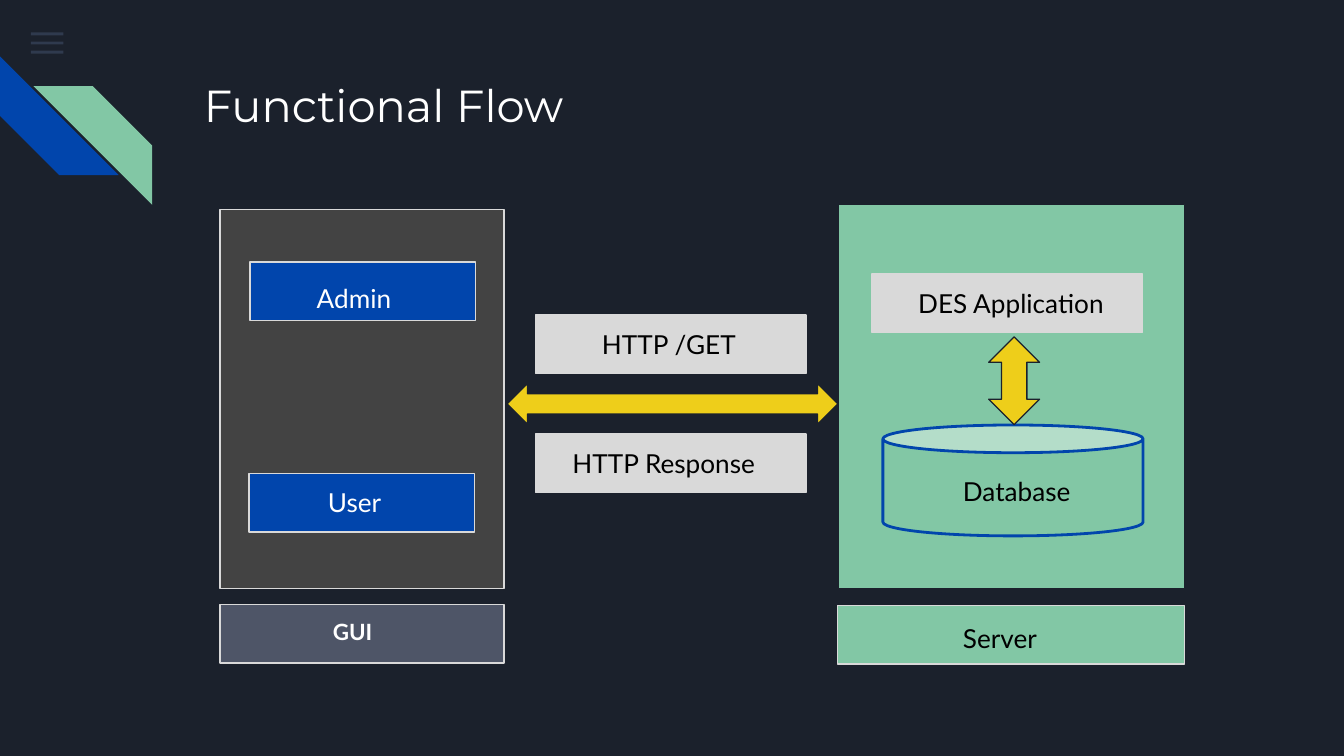
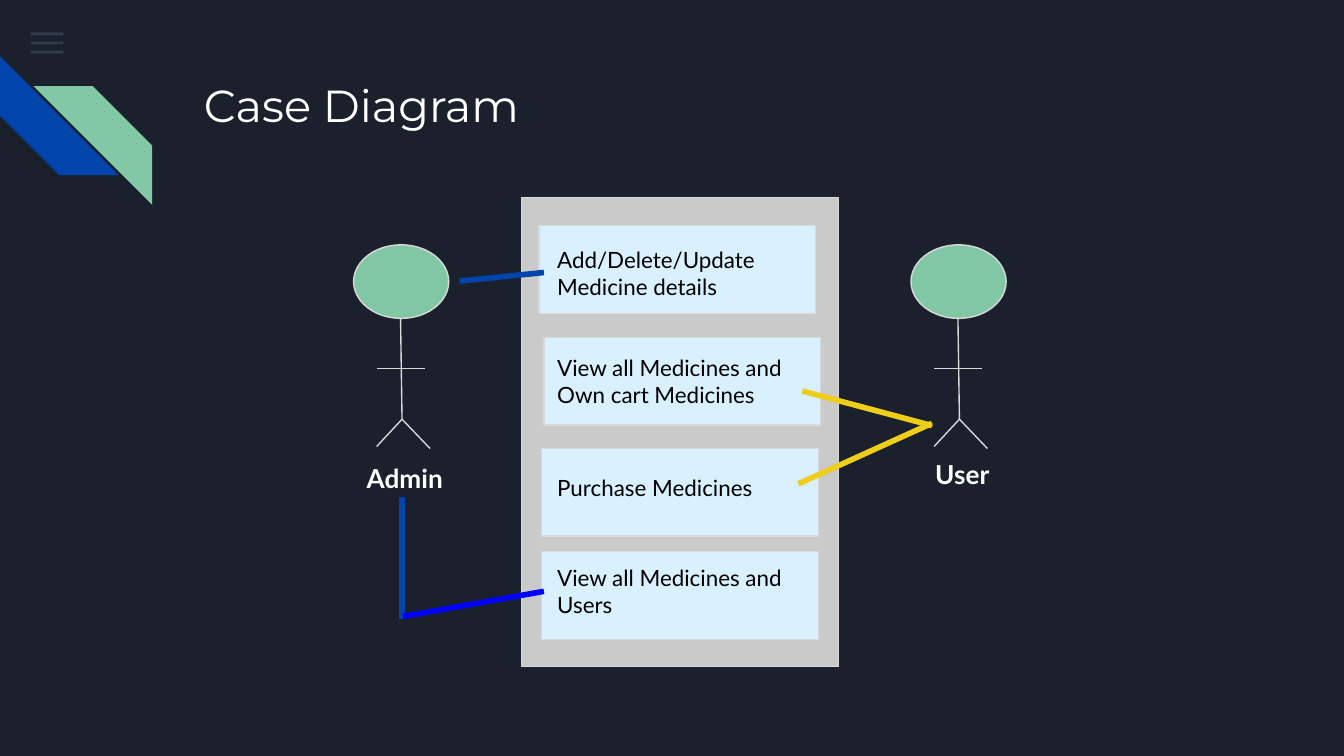
import pptx
import pptx.dml.color
import pptx.enum.shapes
import pptx.enum.text
import pptx.oxml.ns
import pptx.util
import lxml.etree

Pt = pptx.util.Pt
SHAPE = pptx.enum.shapes.MSO_SHAPE

# Shared palette and measures
NIGHT, WHITE, BLACK = "1B212C", "FFFFFF", "000000"
BLUE, GREEN, YELLOW = "0145AC", "82C7A5", "EECE1A"
PALE, LINK_BLUE, SKY = "D9D9D9", "0000FF", "D9F0FF"
INSET = 7.2
TAG_HEIGHT = 31.5


def rgb(value):
    return pptx.dml.color.RGBColor.from_string(value)


def add_child(parent, tag, **attributes):
    child = lxml.etree.SubElement(parent, pptx.oxml.ns.qn(tag))
    for key, value in attributes.items():
        child.set(key, str(value))
    return child


def add_block(slide, kind, left, top, width, height, fill, line=PALE, weight=0.75):
    block = slide.shapes.add_shape(kind, Pt(left), Pt(top), Pt(width), Pt(height))
    block.shadow.inherit = False
    block.fill.solid()
    block.fill.fore_color.rgb = rgb(fill)
    if line:
        block.line.color.rgb = rgb(line)
        block.line.width = Pt(weight)
    else:
        block.line.fill.background()
    return block


def write(frame, text, size=14, color=BLACK, bold=False, font="Lato",
          line_spacing=None, space_after=None):
    """Fill a text frame, one paragraph for each line of the text."""
    frame.word_wrap = True
    frame.vertical_anchor = pptx.enum.text.MSO_ANCHOR.TOP
    frame.margin_left = frame.margin_right = Pt(INSET)
    frame.margin_top = frame.margin_bottom = Pt(INSET)
    frame.text = text
    for paragraph in frame.paragraphs:
        paragraph.alignment = pptx.enum.text.PP_ALIGN.LEFT
        if line_spacing:
            paragraph.line_spacing = line_spacing
        if space_after is not None:
            paragraph.space_after = Pt(space_after)
        for run in paragraph.runs:
            run.font.name = font
            run.font.size = Pt(size)
            run.font.bold = bold
            run.font.color.rgb = rgb(color)


def add_label(slide, text, left, top, width, height=TAG_HEIGHT, **text_format):
    label = slide.shapes.add_textbox(Pt(left), Pt(top), Pt(width), Pt(height))
    write(label.text_frame, text, **text_format)
    label.text_frame.auto_size = pptx.enum.text.MSO_AUTO_SIZE.SHAPE_TO_FIT_TEXT


def add_line(slide, start, end, color=PALE, weight=0.75):
    line = slide.shapes.add_connector(
        pptx.enum.shapes.MSO_CONNECTOR.STRAIGHT,
        *(Pt(value) for value in (*start, *end)))
    line.line.color.rgb = rgb(color)
    line.line.width = Pt(weight)
    add_child(line.element.spPr, "a:effectLst")


def add_menu_icon(slide):
    for row in range(3):
        bar = add_block(slide, SHAPE.RECTANGLE, 16.6, 17.4 + 4.9 * row,
                        17.4, 1.6, "55688B", line=None)
        bar_color = bar.element.spPr.find(".//" + pptx.oxml.ns.qn("a:srgbClr"))
        add_child(bar_color, "a:alpha", val=36000)


def add_stripes(slide):
    blue = add_block(slide, SHAPE.DIAGONAL_STRIPE, 0, 30.2, 63.6, 63.6, BLUE, line=None)
    blue.rotation = 270
    green = add_block(slide, SHAPE.DIAGONAL_STRIPE, 18, 46.2, 63.6, 63.6, GREEN, line=None)
    green.element.spPr.xfrm.set("flipH", "1")


def start_slide(deck, heading):
    """Title-only slide with the shared decoration and title style."""
    slide = deck.slides.add_slide(deck.slide_layouts[5])
    add_menu_icon(slide)
    add_stripes(slide)
    title = slide.shapes.title
    title.left, title.top, title.width, title.height = Pt(102), Pt(30.2), Pt(441.4), Pt(46.8)
    write(title.text_frame, heading, size=24, color=WHITE, font="Montserrat",
          line_spacing=1.15, space_after=16)
    title.text_frame.auto_size = pptx.enum.text.MSO_AUTO_SIZE.NONE
    return slide


def add_tag(slide, text, left, top, width, fill, text_left, text_width,
            text_drop=0, **text_format):
    """A bar with its label, which starts at its own left edge."""
    add_block(slide, SHAPE.RECTANGLE, left, top, width, TAG_HEIGHT, fill)
    add_label(slide, text, text_left, top + text_drop, text_width, **text_format)


def add_actor(slide, name, left, name_left, name_top, name_width):
    """A stick figure with its name below."""
    head_top, head_height = 131.2, 39.4
    neck = (left + 25.2, head_top + head_height)
    hip = (left + 26, 224.6)
    add_block(slide, SHAPE.FLOWCHART_CONNECTOR, left, head_top, 51, head_height, GREEN)
    add_line(slide, neck, hip)
    add_line(slide, (left + 12.4, 197.3), (left + 38.2, 197.3))
    for foot in ((left + 12.4, 239.2), (left + 41, 240.3)):
        add_line(slide, hip, foot)
    add_label(slide, name, name_left, name_top, name_width, color=WHITE, bold=True)


def build_functional_flow(deck):
    slide = start_slide(deck, "Functional Flow")

    # Client and server panels
    add_block(slide, SHAPE.RECTANGLE, 117.8, 112.2, 152.2, 203, "434343")
    add_block(slide, SHAPE.RECTANGLE, 449.3, 109.5, 185.4, 205.7, GREEN, line=NIGHT)

    # Database
    add_block(slide, SHAPE.CAN, 473, 227.7, 139.4, 59.4, GREEN, line=BLUE, weight=1.5)
    add_label(slide, "Database", 508.8, 247.2, 199.4)

    # Roles in the client
    add_tag(slide, "Admin", 133.9, 140.4, 121, BLUE, 162.6, 535.6, text_drop=3.6, color=WHITE)
    add_tag(slide, "User", 133.3, 253.6, 121, BLUE, 168.6, 535.6, color=WHITE)

    # Application and the two-way arrows
    add_tag(slide, "DES Application", 467.2, 146.8, 144.7, PALE, 484.8, 229.7)
    add_block(slide, SHAPE.UP_DOWN_ARROW, 529.7, 180.5, 27.2, 47, YELLOW, line=NIGHT)
    add_block(slide, SHAPE.LEFT_RIGHT_ARROW, 271.6, 205.4, 177.4, 22, YELLOW, line=NIGHT)

    # Messages
    add_tag(slide, "HTTP /GET", 287, 168.7, 144.7, PALE, 315.4, 229.7)
    add_tag(slide, "HTTP Response", 287, 232.4, 144.7, PALE, 299.6, 229.7)

    # Panel captions
    add_tag(slide, "GUI", 117.8, 323.8, 152.2, "4E5567", 171.2, 223.2,
            height=28.8, size=12, color=WHITE, bold=True)
    add_tag(slide, "Server", 448.6, 324.3, 185.8, GREEN, 508.8, 211, text_drop=1.8)


def build_case_diagram(deck):
    slide = start_slide(deck, "Case Diagram")

    # Actors
    add_actor(slide, "Admin", 189.4, 189.4, 240.5, 521.3)
    add_actor(slide, "User", 488, 493.9, 238.3, 220)

    # System with its use cases: text, box left, box top, text top
    add_block(slide, SHAPE.RECTANGLE, 279.4, 105.8, 169.9, 251.5, "CACACA")
    cases = [
        ("Add/Delete/Update\nMedicine details", 288.7, 120.9, 124.6),
        ("View all Medicines and\nOwn cart Medicines", 291.4, 180.7, 182.4),
        ("Purchase Medicines", 290.2, 240.3, 247),
        ("View all Medicines and\nUsers", 290.2, 295.5, 295.2),
    ]
    for text, left, top, text_top in cases:
        add_block(slide, SHAPE.RECTANGLE, left, top, 148.2, 47, SKY)
        height = 43.9 if "\n" in text else 28.8
        add_label(slide, text, 291.4, text_top, 411.8, height, size=12)

    # Links from actors to use cases
    links = [
        ((215.3, 266.4), (215.3, 331.6), BLUE),
        ((215.8, 330.3), (291.4, 316.8), LINK_BLUE),
        ((499.2, 228), (429.8, 209.5), YELLOW),
        ((499.2, 226.8), (427.7, 259.2), YELLOW),
        ((246.2, 150.6), (291.4, 146), BLUE),
    ]
    for start, end, color in links:
        add_line(slide, start, end, color, weight=3)


def main():
    deck = pptx.Presentation()
    deck.slide_width, deck.slide_height = Pt(720), Pt(405)
    backdrop = deck.slide_master.background.fill
    backdrop.solid()
    backdrop.fore_color.rgb = rgb(NIGHT)
    build_functional_flow(deck)
    build_case_diagram(deck)
    deck.save("out.pptx")


if __name__ == "__main__":
    main()
